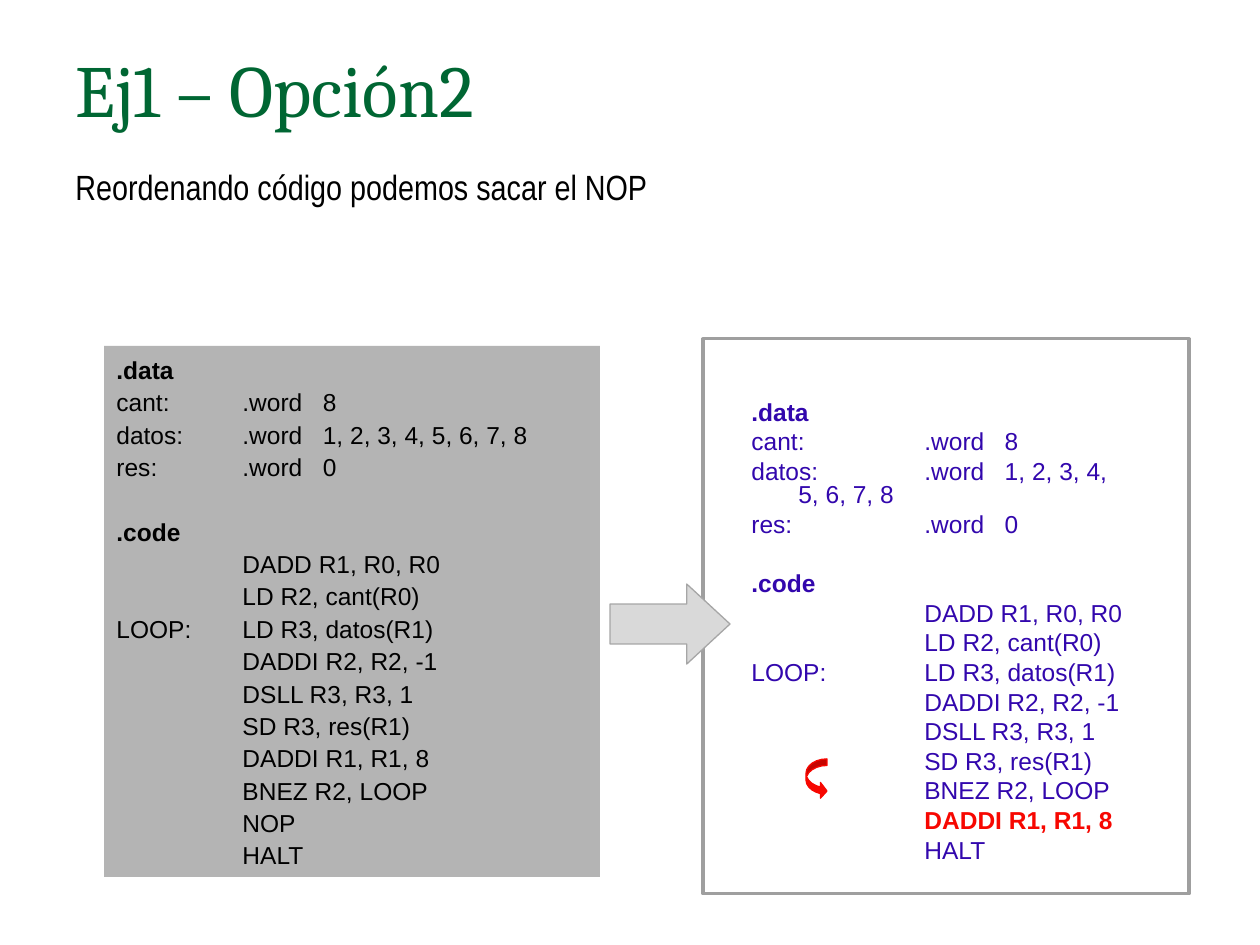
from dataclasses import dataclass, field
from typing import Optional

from lxml.etree import SubElement
from pptx import Presentation
from pptx.dml.color import RGBColor
from pptx.enum.shapes import MSO_SHAPE
from pptx.enum.text import MSO_ANCHOR, MSO_AUTO_SIZE, PP_ALIGN
from pptx.oxml.ns import qn
from pptx.util import Emu, Pt

PIXELS_PER_INCH = 126
COLORS = {
    "green": "006633", "black": "000000", "violet": "3207AD", "red": "F70701",
    "white": "FFFFFF", "frame": "9F9F9F", "panel": "B4B4B4",
    "arrow": "D9D9D9", "arrow_edge": "A6A6A6",
}


@dataclass(frozen=True)
class Figure:
    preset: MSO_SHAPE
    place: tuple[int, int, int, int]
    fill: str
    line: Optional[str] = None
    line_width: float = 0.75
    adjustments: tuple[float, ...] = ()


@dataclass(frozen=True)
class TextStyle:
    font: str
    size: int
    color: str
    hanging: int = 0
    tab_step: int = 0
    paragraph: dict = field(default_factory=dict)


def px(length: int) -> Emu:
    return Emu(round(length * 914400 / PIXELS_PER_INCH))


def rgb(name: str) -> RGBColor:
    return RGBColor.from_string(COLORS[name])


def set_all(target, values: dict) -> None:
    for name, value in values.items():
        setattr(target, name, value)


def draw_figure(page, figure: Figure):
    shape = page.shapes.add_shape(figure.preset, *map(px, figure.place))
    shape.shadow.inherit = False
    shape.fill.solid()
    shape.fill.fore_color.rgb = rgb(figure.fill)
    if figure.line:
        shape.line.color.rgb = rgb(figure.line)
        shape.line.width = Pt(figure.line_width)
    else:
        shape.line.fill.background()
    for index, value in enumerate(figure.adjustments):
        shape.adjustments[index] = value
    return shape


def set_indents(para, style: TextStyle) -> None:
    properties = para._p.get_or_add_pPr()
    if style.hanging:
        properties.set("marL", str(px(style.hanging)))
        properties.set("indent", str(-px(style.hanging)))
    if style.tab_step:
        properties.set("defTabSz", str(px(style.tab_step)))
        tabs = SubElement(properties, qn("a:tabLst"))
        for index in range(8):
            SubElement(tabs, qn("a:tab"), pos=str(px(index * style.tab_step)), algn="l")


def write_lines(box, lines: list[str], style: TextStyle, highlight: str = "") -> None:
    frame = box.text_frame
    set_all(frame, {"word_wrap": True, "vertical_anchor": MSO_ANCHOR.TOP,
                    "auto_size": MSO_AUTO_SIZE.NONE})
    for index, line in enumerate(lines):
        para = frame.paragraphs[0] if index == 0 else frame.add_paragraph()
        set_all(para, {"alignment": PP_ALIGN.LEFT, **style.paragraph})
        set_indents(para, style)
        para.font.size = Pt(style.size)
        if not line:
            SubElement(para._p, qn("a:endParaRPr"), sz=str(style.size * 100))
            continue
        marked = bool(highlight) and highlight in line
        span = para.add_run()
        span.text = line
        set_all(span.font, {"name": style.font, "size": Pt(style.size),
                            "bold": marked or line.startswith(".")})
        span.font.color.rgb = rgb("red" if marked else style.color)


def draw_text(page, place: tuple[int, int, int, int], text: str, style: TextStyle) -> None:
    write_lines(page.shapes.add_textbox(*map(px, place)), [text], style)


def listing(ending: list[str], indent: str) -> list[str]:
    """Program shared by both panels, closed by its own last instructions."""
    start = ["DADD R1, R0, R0", "LD R2, cant(R0)"]
    body = ["DADDI R2, R2, -1", "DSLL R3, R3, 1", "SD R3, res(R1)"]
    return [
        ".data", "cant: \t.word   8", "datos: \t.word   1, 2, 3, 4, 5, 6, 7, 8",
        "res: \t.word   0", "", ".code",
        *(indent + step for step in start),
        "LOOP: \tLD R3, datos(R1)",
        *(indent + step for step in body + ending),
    ]


TITLE = TextStyle("Cambria", 42, "green")
SUBTITLE = TextStyle("Arial Narrow", 20, "black", hanging=47,
                     paragraph={"space_before": Pt(5)})
BEFORE = TextStyle("Arial", 14, "black", tab_step=126, paragraph={"line_spacing": 1.1})
AFTER = TextStyle("Arial", 14, "violet", hanging=47, tab_step=126,
                  paragraph={"line_spacing": 0.8, "space_before": Pt(3.5)})

FRAME = Figure(MSO_SHAPE.RECTANGLE, (703, 339, 486, 555), "white", "frame", 1.75)
AFTER_PANEL = Figure(MSO_SHAPE.RECTANGLE, (739, 396, 408, 446), "white")
BEFORE_PANEL = Figure(MSO_SHAPE.RECTANGLE, (104, 346, 496, 531), "panel")
SWAP_ARROW = Figure(MSO_SHAPE.CURVED_RIGHT_ARROW, (806, 759, 21, 40), "red", "red",
                    adjustments=(0.31, 0.75, 0.31))
STEP_ARROW = Figure(MSO_SHAPE.RIGHT_ARROW, (610, 584, 120, 80), "arrow", "arrow_edge",
                    adjustments=(0.5, 0.54))


def main() -> None:
    deck = Presentation()
    set_all(deck, {"slide_width": px(1260), "slide_height": px(945)})
    page = deck.slides.add_slide(deck.slide_layouts[6])

    # Reordered program, framed
    draw_figure(page, FRAME)
    draw_text(page, (63, 38, 1134, 157), "Ej1 – Opción2", TITLE)
    moved = "DADDI R1, R1, 8"
    write_lines(draw_figure(page, AFTER_PANEL),
                listing(["BNEZ R2, LOOP", moved, "HALT"], "\t\t"), AFTER, moved)
    draw_figure(page, SWAP_ARROW)

    # Subtitle and first program
    draw_text(page, (63, 159, 1134, 42), "Reordenando código podemos sacar el NOP", SUBTITLE)
    write_lines(draw_figure(page, BEFORE_PANEL),
                listing([moved, "BNEZ R2, LOOP", "NOP", "HALT"], "\t"), BEFORE)

    # Arrow from one program to the other
    draw_figure(page, STEP_ARROW)
    deck.save("out.pptx")


if __name__ == "__main__":
    main()
